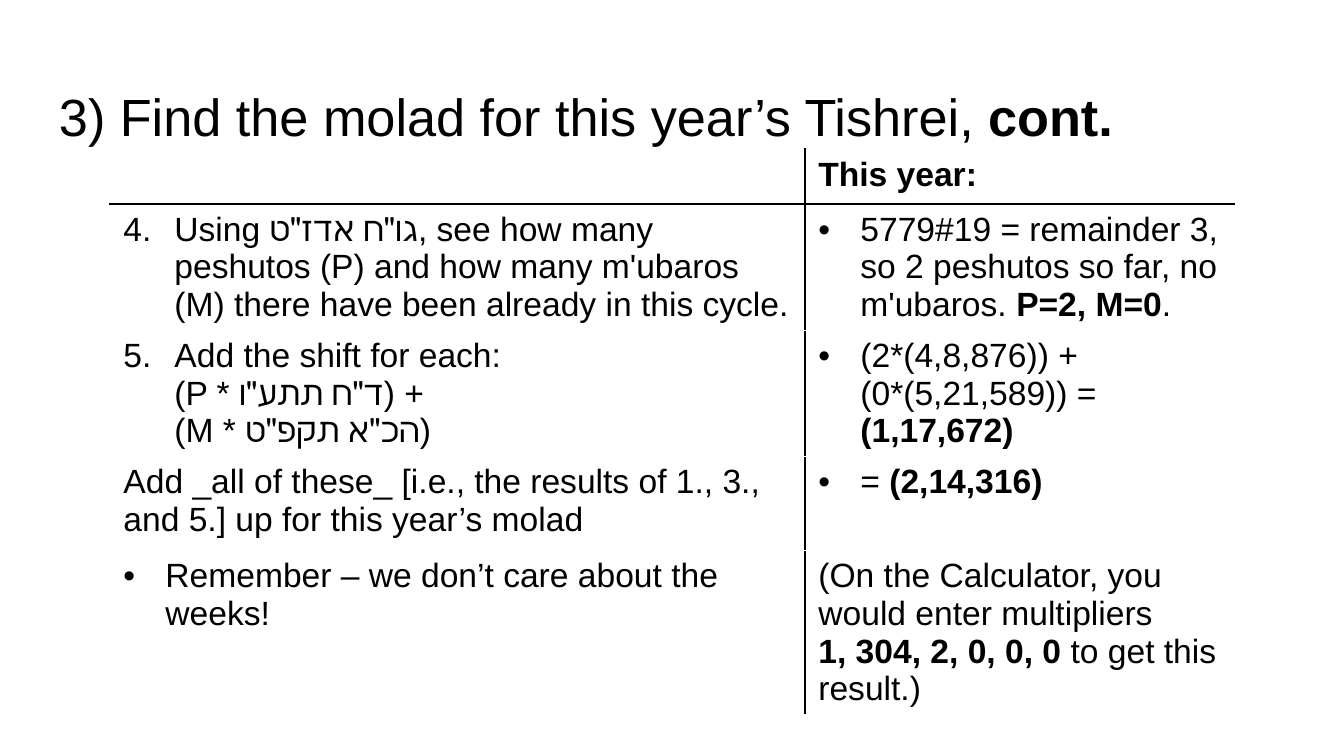
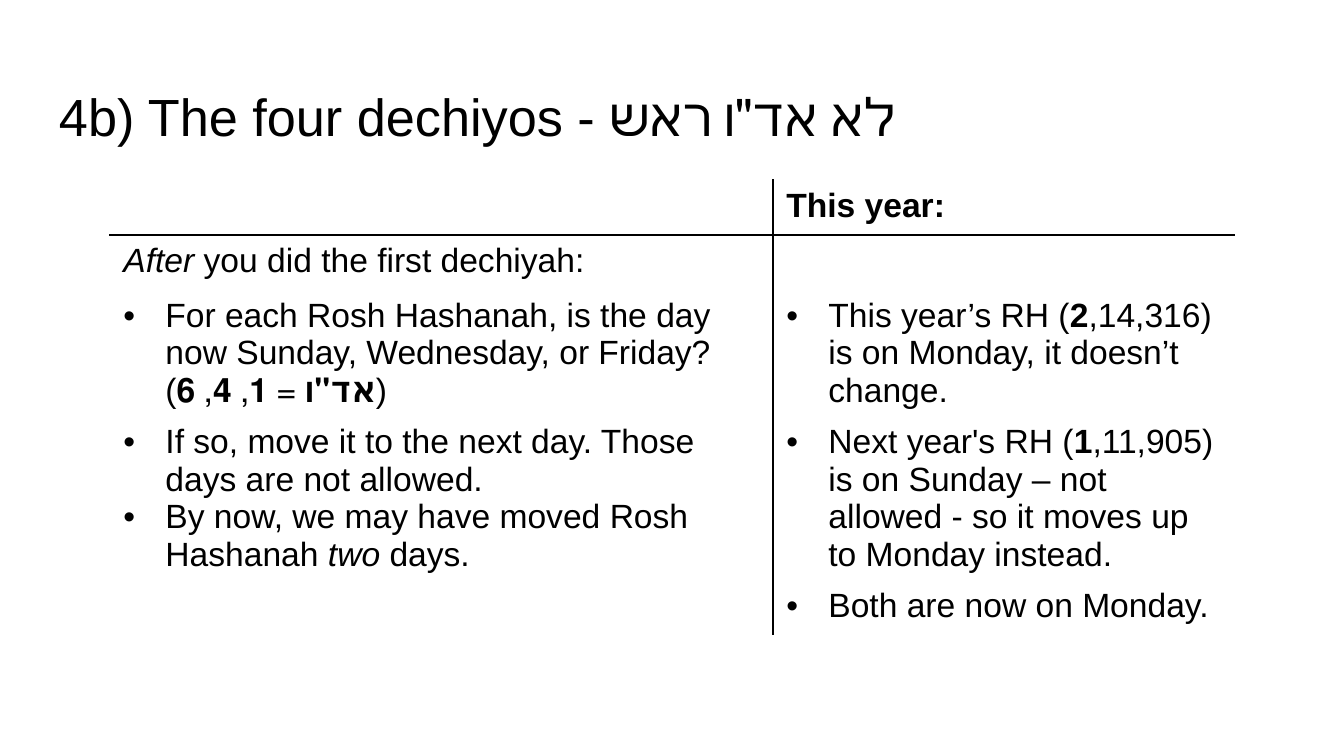
from lxml.etree import SubElement as Sub
from pptx import Presentation
from pptx.dml.color import RGBColor as Rgb
from pptx.enum.text import MSO_ANCHOR as Anchor, MSO_AUTO_SIZE as Fit, PP_ALIGN as Align
from pptx.oxml import parse_xml
from pptx.oxml.ns import nsdecls, qn
from pptx.util import Pt

COLORS = {"ink": "000000", "paper": "FFFFFF"}
FONT = "Arial"
LEFT, WIDTH, ROW = 110, 1124, 55
TITLE = (46, 66, 1253, 85)


def px(n):
    """Turn pixels into EMU."""
    return round(n * 914400 / 134.4)


def write(par, runs, size=18, bold=False, color="ink"):
    """Fill a paragraph with strings or (text, style) pairs."""
    for part in runs:
        text, style = part if isinstance(part, tuple) else (part, "")
        for i, line in enumerate(text.split("\n")):
            if i:
                par.add_line_break()
            run = par.add_run()
            run.text = line
            font = run.font
            font.name, font.size = FONT, Pt(size)
            font.bold, font.italic = bold or "b" in style, "i" in style
            font.color.rgb = Rgb.from_string(COLORS[color])


def mark(par, kind):
    """Give a paragraph a dot, or a number when kind is an integer."""
    dot = kind == "dot"
    gap = px(42 if dot else 51)
    props = par._p.get_or_add_pPr()
    props.set("marL", str(gap))
    props.set("indent", str(-gap))
    Sub(Sub(props, qn("a:buClr")), qn("a:srgbClr"), val=COLORS["ink"])
    Sub(props, qn("a:buFont"), typeface=FONT)
    if dot:
        Sub(props, qn("a:buChar"), char="•")
    else:
        Sub(props, qn("a:buAutoNum"), type="arabicPeriod", startAt=str(kind))


def edge(cell, sides):
    """Draw the cell borders in schema order."""
    props = cell._tc.get_or_add_tcPr()
    for i, (side, color) in enumerate(zip("LRTB", sides)):
        fill = (f'<a:solidFill><a:srgbClr val="{COLORS[color]}"/></a:solidFill>'
                if color else "<a:noFill/>")
        props.insert(i, parse_xml(f'<a:ln{side} {nsdecls("a")} w="12700">{fill}</a:ln{side}>'))


def head(slide, box, runs):
    """Place the slide title."""
    title = slide.shapes.title
    title.left, title.top, title.width, title.height = map(px, box)
    frame = title.text_frame
    frame.auto_size, frame.word_wrap = Fit.NONE, True
    frame.vertical_anchor = Anchor.TOP
    frame.margin_left = frame.margin_right = frame.margin_bottom = px(13)
    frame.margin_top = px(18)
    par = frame.paragraphs[0]
    par.alignment = Align.LEFT
    write(par, runs, size=28)


def grid(slide, box, split, rows, cut=None, tall=None):
    """Place the steps table, with its column split and row line colour."""
    frame = slide.shapes.add_table(len(rows), 2, *map(px, box))
    table = frame.table
    table.first_row = table.horz_banding = False
    for col, wide in zip(table.columns, (split, box[2] - split)):
        col.width = px(wide)
    for r, row in enumerate(rows):
        table.rows[r].height = px((tall or {}).get(r, ROW))
        top = ("paper", "ink")[r] if r < 2 else cut
        low = cut if r else "ink"
        for c, pars in enumerate(row):
            cell = table.cell(r, c)
            cell.fill.background()
            sides = ("ink", "paper") if c else ("paper", "ink")
            edge(cell, (*sides, top, low))
            text = cell.text_frame
            for i, (kind, *runs) in enumerate(pars):
                par = text.add_paragraph() if i else text.paragraphs[0]
                if kind:
                    mark(par, kind)
                write(par, runs, bold=not r)
    frame.height = px(box[3])


HEADER = ([], [(None, "This year:")])

MOLAD = [
    HEADER,
    ([(4, 'Using גו"ח אדז"ט, see how many peshutos (P) and how many '
          "m'ubaros (M) there have been already in this cycle.")],
     [("dot", "5779#19 = remainder 3, so 2 peshutos so far, no m'ubaros. ",
       ("P=2, M=0", "b"), ".")]),
    ([(5, 'Add the shift for each:\n(P * ד"ח תתע"ו) +\n(M * הכ"א תקפ"ט)')],
     [("dot", "(2*(4,8,876)) + (0*(5,21,589)) = ", ("(1,17,672)", "b"))]),
    ([(None, "Add _all of these_ [i.e., the results of 1., 3., and 5.] "
             "up for this year’s molad")],
     [("dot", "= ", ("(2,14,316)", "b"))]),
    ([("dot", "Remember – we don’t care about the weeks!")],
     [(None, "(On the Calculator, you would enter multipliers"),
      (None, ("1, 304, 2, 0, 0, 0 ", "b"), "to get this result.)")]),
]

DELAYS = [
    HEADER,
    ([(None, ("After", "i"), " you did the first dechiyah:")], []),
    ([("dot", "For each Rosh Hashanah, is the day now Sunday, Wednesday, or Friday? (",
       ('אד"ו', "b"), " = ", ("1", "b"), ", ", ("4", "b"), ", ", ("6", "b"), ")")],
     [("dot", "This year’s RH (", ("2", "b"),
       ",14,316) is on Monday, it doesn’t change.")]),
    ([("dot", "If so, move it to the next day. Those days are not allowed."),
      ("dot", "By now, we may have moved Rosh Hashanah ", ("two", "i"), " days.")],
     [("dot", "Next year's RH (", ("1", "b"),
       ",11,905) is on Sunday – not allowed - so it moves up to Monday instead.")]),
    ([], [("dot", "Both are now on Monday.")]),
]


def main():
    """Build and save both slides."""
    deck = Presentation()
    deck.slide_width, deck.slide_height = px(1344), px(756)
    layout = deck.slide_layouts[5]

    slide = deck.slides.add_slide(layout)
    head(slide, TITLE, ["3) Find the molad for this year’s Tishrei, ", ("cont.", "b")])
    grid(slide, (LEFT, 149, WIDTH, 593), 695, MOLAD, cut="paper", tall={3: 94})

    slide = deck.slides.add_slide(layout)
    head(slide, TITLE, ['4b) The four dechiyos - לא אד"ו ראש'])
    grid(slide, (LEFT, 180, WIDTH, 473), 663, DELAYS)

    deck.save("out.pptx")


if __name__ == "__main__":
    main()
